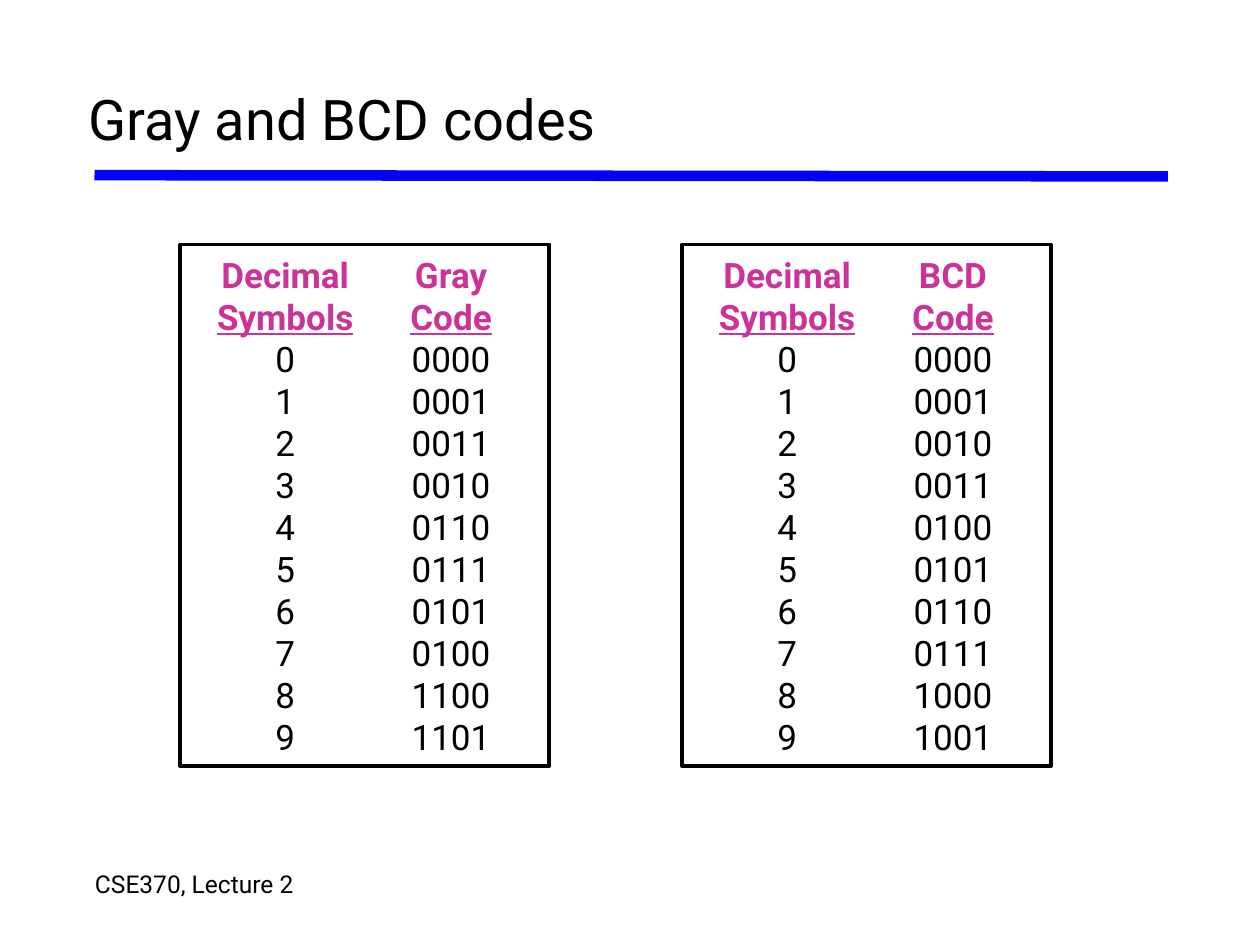
from lxml.etree import SubElement
from pptx import Presentation
from pptx.dml.color import RGBColor
from pptx.enum.shapes import MSO_CONNECTOR, MSO_SHAPE
from pptx.enum.text import MSO_ANCHOR, PP_ALIGN
from pptx.oxml.ns import qn
from pptx.util import Pt


def color(value):
    return RGBColor.from_string(value)


def add_text(paragraph, text, font="Roboto", size=20, fill="000000",
             bold=False, underline=False, spacing=24, align=PP_ALIGN.LEFT):
    paragraph.alignment = align
    paragraph.line_spacing = Pt(spacing)
    run = paragraph.add_run()
    run.text = text
    run.font.name = font
    run.font.size = Pt(size)
    run.font.bold = bold
    run.font.underline = underline
    run.font.color.rgb = color(fill)


class SlideBuilder:
    black = "000000"
    rule_blue = "0000FF"
    heading_pink = "CC3399"

    def __init__(self, slide):
        self.slide = slide

    def text_box(self, left, top, width, height, wrap=True, anchor=MSO_ANCHOR.TOP):
        shape = self.slide.shapes.add_textbox(Pt(left), Pt(top), Pt(width), Pt(height))
        frame = shape.text_frame
        frame.margin_left = frame.margin_right = Pt(0)
        frame.margin_top = frame.margin_bottom = Pt(0)
        frame.word_wrap = wrap
        frame.vertical_anchor = anchor
        return frame

    def line(self, start, end, width):
        connector = self.slide.shapes.add_connector(
            MSO_CONNECTOR.STRAIGHT, Pt(start[0]), Pt(start[1]), Pt(end[0]), Pt(end[1]))
        connector.line.color.rgb = color(self.rule_blue)
        connector.line.width = Pt(width)
        SubElement(connector._element.spPr, qn("a:effectLst"))

    def frame(self, left, top, width, height):
        shape = self.slide.shapes.add_shape(
            MSO_SHAPE.RECTANGLE, Pt(left), Pt(top), Pt(width), Pt(height))
        shape.shadow.inherit = False
        shape.fill.background()
        shape.line.color.rgb = color(self.black)
        shape.line.width = Pt(2)

    def column(self, left, top, headings, values):
        text_frame = self.text_box(left, top, 107.3, 288)
        for index, text in enumerate(headings + values):
            paragraph = text_frame.paragraphs[0] if index == 0 else text_frame.add_paragraph()
            is_heading = index < len(headings)
            add_text(paragraph, text, align=PP_ALIGN.CENTER, bold=is_heading,
                     underline=index == len(headings) - 1,
                     fill=self.heading_pink if is_heading else self.black)

    def code_panel(self, left, top, name, codes):
        digits = [str(number) for number in range(len(codes))]
        self.column(left + 6.5, top + 5, ["Decimal", "Symbols"], digits)
        self.column(left + 101.2, top + 5, [name, "Code"], codes)
        self.frame(left, top, 211, 298)


def main():
    presentation = Presentation()
    presentation.slide_width, presentation.slide_height = Pt(720), Pt(540)
    builder = SlideBuilder(presentation.slides.add_slide(presentation.slide_layouts[6]))

    # Rule and footer
    builder.line((54, 100.1), (667.4, 100.8), 6)
    footer = builder.text_box(54.3, 497.5, 117.4, 16, wrap=False)
    add_text(footer.paragraphs[0], "CSE370, Lecture 2", size=14, spacing=16)

    # Title
    title = builder.text_box(50.4, 0, 622, 134, anchor=MSO_ANCHOR.MIDDLE)
    add_text(title.paragraphs[0], "Gray and BCD codes", size=32, spacing=39)

    # Code panels: a Gray code is the number XOR its half
    gray_codes = [f"{number ^ (number >> 1):04b}" for number in range(10)]
    bcd_codes = [f"{number:04b}" for number in range(10)]
    builder.code_panel(389.7, 139.7, "BCD", bcd_codes)
    builder.code_panel(102.9, 139.7, "Gray", gray_codes)

    presentation.save("out.pptx")


if __name__ == "__main__":
    main()
